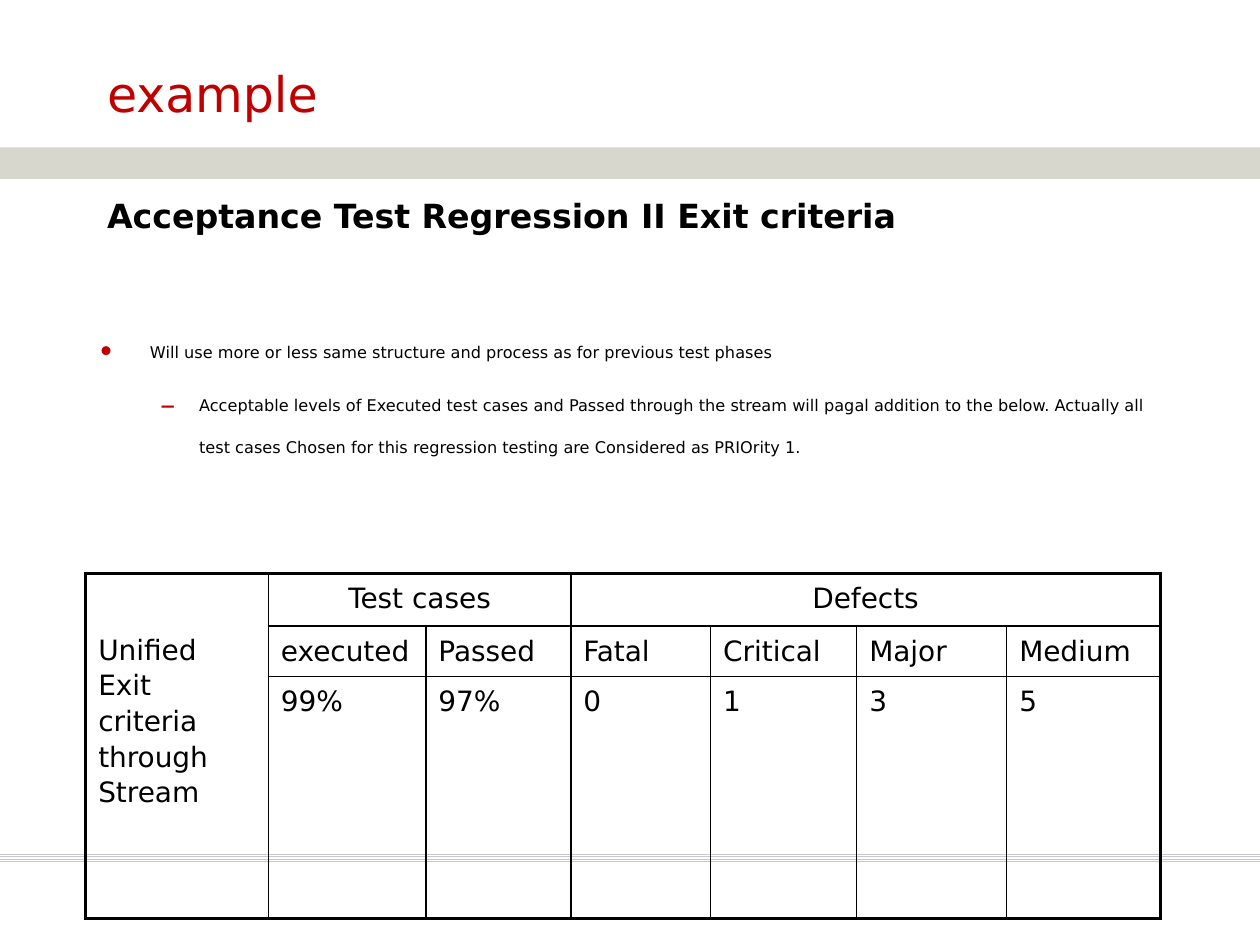
import pptx
import pptx.util
import pptx.dml.color
import pptx.enum.text
import pptx.enum.shapes
import pptx.oxml
import pptx.oxml.ns
from lxml import etree

W, H = 10, 7.5
FONT = "DejaVu Sans"
RED, BLACK, STONE, GREY = "C00000", "000000", "D7D7CE", "C8C6CC"
COLS = [1.45, 1.25, 1.15, 1.11, 1.16, 1.19, 1.22]
ROWS = [0.42, 0.4, 0.91]
CELLS = {
    (0, 0): "Unified Exit criteria through Stream",
    (0, 1): "Test cases",
    (0, 3): "Defects",
}
MERGES = [(0, 0, 2, 0), (0, 1, 0, 2), (0, 3, 0, 6)]
HEADS = ["executed", "Passed", "Fatal", "Critical", "Major", "Medium"]
VALUES = ["99%", "97%", "0", "1", "3", "5"]
ALIGN = pptx.enum.text.PP_ALIGN
ANCHOR = pptx.enum.text.MSO_ANCHOR


def inch(v):
    return pptx.util.Inches(v)


def rgb(value):
    return pptx.dml.color.RGBColor.from_string(value)


def sub(parent, tag, **attrs):
    e = etree.SubElement(parent, pptx.oxml.ns.qn(tag))
    for key, value in attrs.items():
        e.set(key, str(value))
    return e


def write(p, text, size=16, color=BLACK, bold=False, align=ALIGN.LEFT,
          spacing=1.1, before=0):
    r = p.add_run()
    r.text = text
    r.font.name = FONT
    r.font.size = pptx.util.Pt(size)
    r.font.bold = bold
    r.font.color.rgb = rgb(color)
    p.alignment = align
    p.line_spacing = spacing
    p.space_before = pptx.util.Pt(before)


def bullet(p, char=None, left=0.0, hang=0.0):
    pPr = p._p.get_or_add_pPr()
    pPr.set("marL", str(inch(left)))
    pPr.set("indent", str(-inch(hang)))
    if char is None:
        sub(pPr, "a:buNone")
        return
    sub(sub(pPr, "a:buClr"), "a:srgbClr", val=RED)
    sub(pPr, "a:buSzPct", val=190000)
    sub(pPr, "a:buFont", typeface=FONT)
    sub(pPr, "a:buChar", char=char)


def place(s, x, y, w, h, anchor=ANCHOR.TOP):
    s.left, s.top, s.width, s.height = map(inch, (x, y, w, h))
    tf = s.text_frame
    tf.word_wrap = True
    tf.auto_size = pptx.enum.text.MSO_AUTO_SIZE.NONE
    tf.vertical_anchor = anchor
    return tf


def rule(slide, y):
    line = slide.shapes.add_connector(
        pptx.enum.shapes.MSO_CONNECTOR.STRAIGHT, 0, inch(y), inch(W), inch(y))
    line.line.color.rgb = rgb(GREY)
    line.line.width = pptx.util.Pt(0.5)
    sub(line._element.spPr, "a:effectLst")


def band(slide, y, h):
    s = slide.shapes.add_shape(
        pptx.enum.shapes.MSO_SHAPE.RECTANGLE, 0, inch(y), inch(W), inch(h))
    s.shadow.inherit = False
    s.fill.solid()
    s.fill.fore_color.rgb = rgb(STONE)
    s.line.fill.background()


def border(cell, row, col):
    bottom = row + (cell.span_height if cell.is_merge_origin else 1)
    right = col + (cell.span_width if cell.is_merge_origin else 1)
    outer = {"L": col == 0, "R": right == len(COLS),
             "T": row == 0, "B": bottom == len(ROWS)}
    tcPr = cell._tc.get_or_add_tcPr()
    for side, edge in outer.items():
        ln = sub(tcPr, "a:ln" + side, w=pptx.util.Pt(2.25 if edge else 1))
        sub(sub(ln, "a:solidFill"), "a:srgbClr", val=BLACK)
    cell.fill.background()


def criteria_table(slide, x, y):
    frame = slide.shapes.add_table(
        len(ROWS), len(COLS), inch(x), inch(y), inch(sum(COLS)), inch(sum(ROWS)))
    table = frame.table
    table.first_row = table.horz_banding = False
    for column, width in zip(table.columns, COLS):
        column.width = inch(width)
    for row, height in zip(table.rows, ROWS):
        row.height = inch(height)
    for top, left, bottom, right in MERGES:
        table.cell(top, left).merge(table.cell(bottom, right))
    texts = dict(CELLS)
    for row, words in enumerate((HEADS, VALUES), 1):
        texts.update({(row, col): word for col, word in enumerate(words, 1)})
    for row in range(len(ROWS)):
        for col in range(len(COLS)):
            cell = table.cell(row, col)
            border(cell, row, col)
            if (row, col) in texts:
                centred = row == 0 and col > 0
                write(cell.text_frame.paragraphs[0], texts[row, col],
                      align=ALIGN.CENTER if centred else ALIGN.LEFT)
    table.cell(0, 0).margin_top = inch(0.46)


def main():
    prs = pptx.Presentation()
    prs.slide_width, prs.slide_height = inch(W), inch(H)
    slide = prs.slides.add_slide(prs.slide_layouts[3])
    title, heading, points = slide.placeholders

    for i in range(4):
        rule(slide, 6.78 + 0.02 * i)
    band(slide, 1.17, 0.25)

    tf = place(title, 0.75, 0.32, 8.5, 0.83, ANCHOR.MIDDLE)
    write(tf.paragraphs[0], "example", size=28, color=RED, spacing=1.0)

    tf = place(heading, 0.75, 1.47, 8.82, 0.47)
    write(tf.paragraphs[0], "Acceptance Test Regression II Exit criteria",
          size=19, bold=True)
    bullet(tf.paragraphs[0])

    tf = place(points, 0.67, 2.49, 8.58, 1.97)
    pitch = pptx.util.Pt(24)
    p = tf.paragraphs[0]
    write(p, "Will use more or less same structure and process as for "
          "previous test phases", size=9.2, spacing=pitch)
    bullet(p, "•", 0.42, 0.42)
    p = tf.add_paragraph()
    p.level = 1
    write(p, "Acceptable levels of Executed test cases and Passed through the "
          "stream will pagal addition to the below. Actually all test cases "
          "Chosen for this regression testing are Considered as PRIOrity 1.",
          size=9.2, spacing=pitch, before=6.3)
    bullet(p, "–", 0.81, 0.31)

    criteria_table(slide, 0.68, 4.55)
    prs.save("out.pptx")


main()
